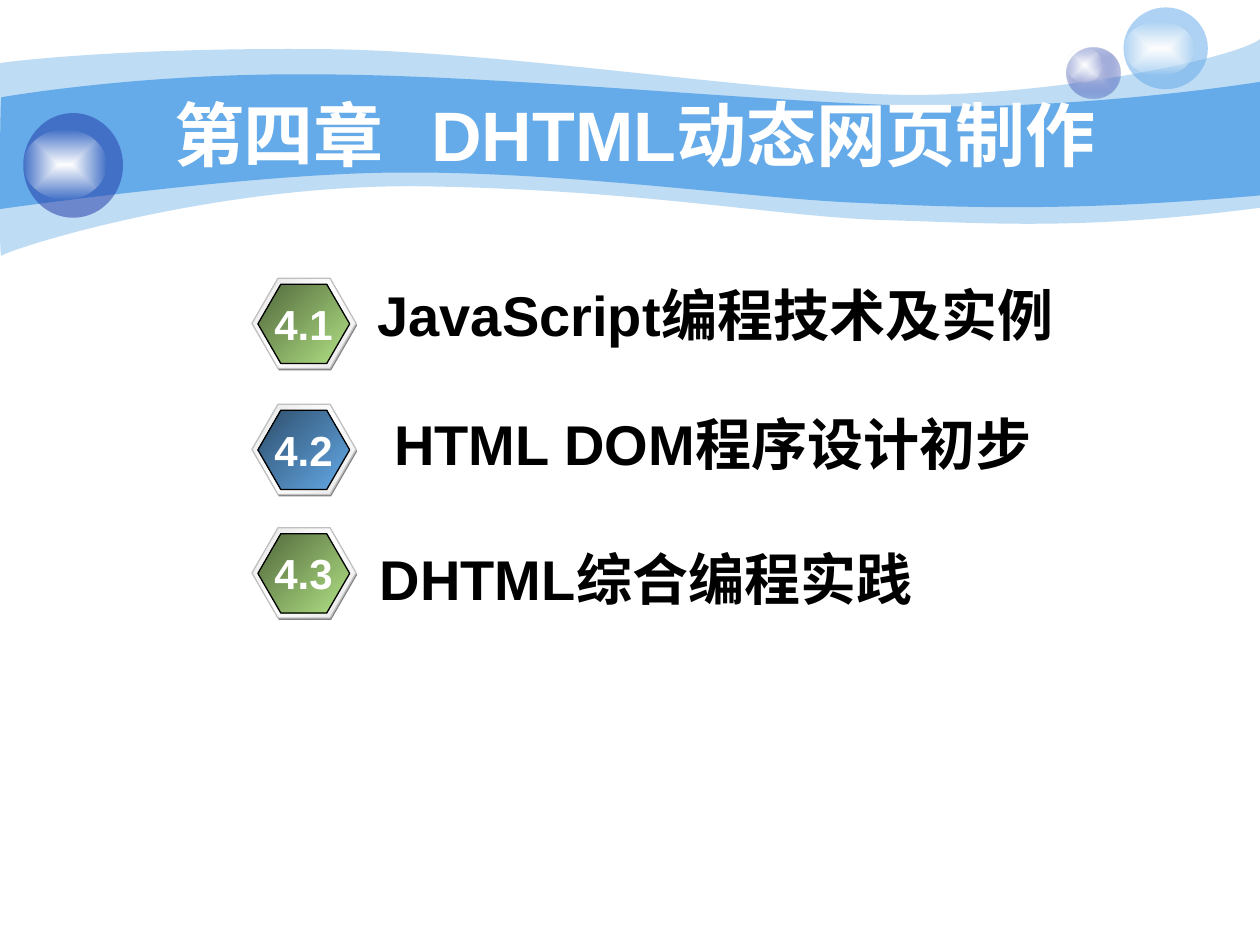
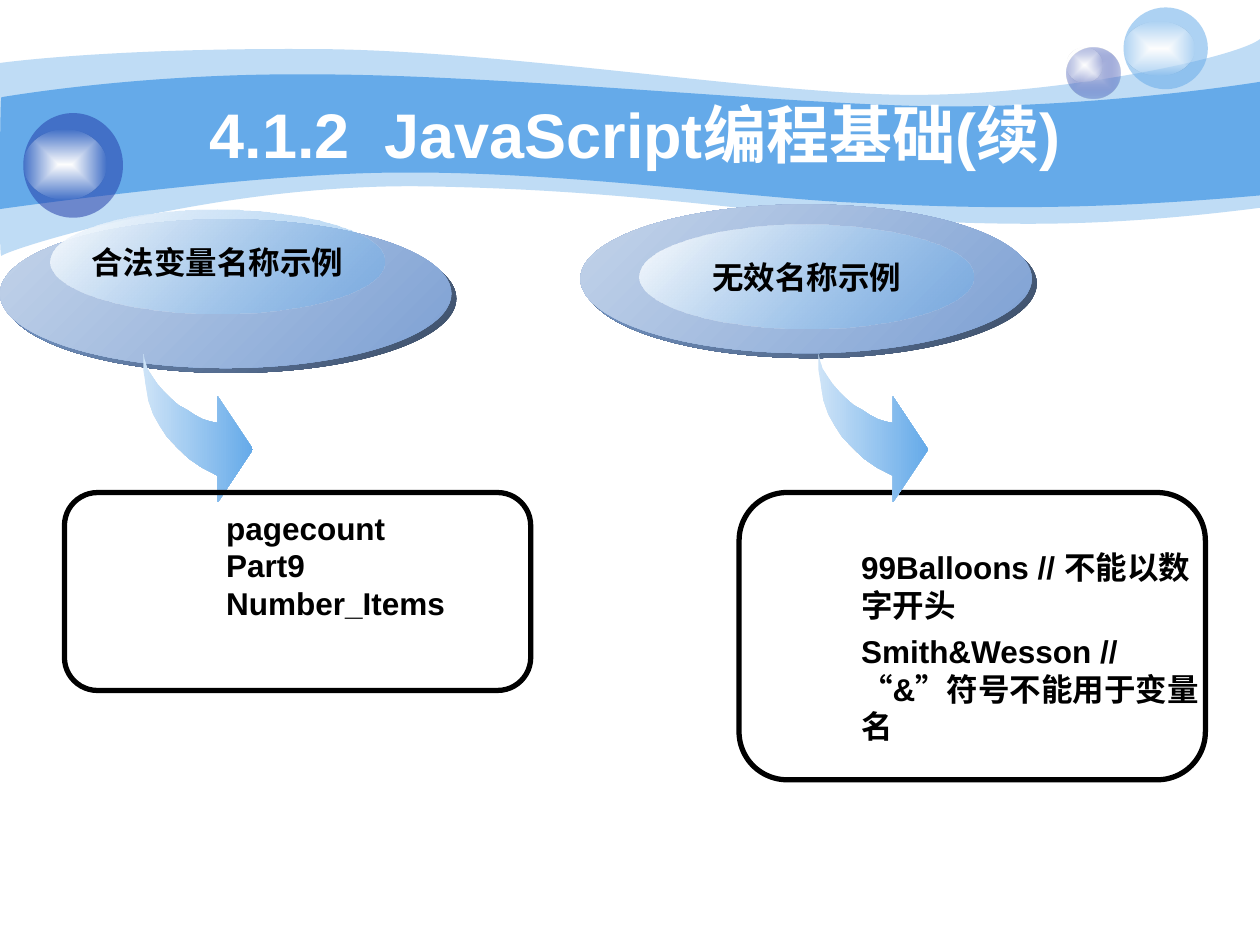
from pptx import Presentation
from pptx.dml.color import RGBColor
from pptx.enum.shapes import MSO_SHAPE
from pptx.enum.text import MSO_ANCHOR, PP_ALIGN
from pptx.oxml import parse_xml
from pptx.oxml.ns import nsdecls, qn
from pptx.util import Cm, Pt

ELLIPSE = MSO_SHAPE.OVAL
HEXAGON = MSO_SHAPE.HEXAGON
ROUNDED = MSO_SHAPE.ROUNDED_RECTANGLE
LEFT, CENTER = PP_ALIGN.LEFT, PP_ALIGN.CENTER
TOP, MIDDLE = MSO_ANCHOR.TOP, MSO_ANCHOR.MIDDLE

FONT = "Arial"
BLACK = RGBColor(0x00, 0x00, 0x00)
WHITE = RGBColor(0xFF, 0xFF, 0xFF)
OFF_WHITE = RGBColor(0xFE, 0xFE, 0xFE)
GREY = RGBColor(0x80, 0x80, 0x80)
SILVER = RGBColor(0xC0, 0xC0, 0xC0)
PALE_GREY = RGBColor(0xE6, 0xE6, 0xE6)
SKY = RGBColor(0x65, 0xAA, 0xE9)
PALE_SKY = RGBColor(0xCD, 0xE3, 0xF7)
DARK_SKY = RGBColor(0x2E, 0x4E, 0x6B)
NAVY = RGBColor(0x23, 0x3D, 0xA9)
LAVENDER = RGBColor(0xC6, 0xCC, 0xE8)
GREEN = RGBColor(0xB2, 0xE3, 0x85)
DARK_GREEN = RGBColor(0x52, 0x68, 0x3D)
STEEL = RGBColor(0x7D, 0xA0, 0xD3)
DARK_STEEL = RGBColor(0x3C, 0x4D, 0x66)
PALE_STEEL = RGBColor(0xC4, 0xD4, 0xEA)

TO_UPPER_LEFT = 225


def paint(shape, stops, angle=None, line=None, line_width=0.75):
    """Fill with evenly spaced (colour, opacity %) stops: one is solid,
    more are a gradient, running from the centre if no angle is given."""
    shape.shadow.inherit = False
    if line is None:
        shape.line.fill.background()
    else:
        shape.line.color.rgb = line
        shape.line.width = Pt(line_width)
    if not stops:
        shape.fill.background()
        return
    colours = [f'<a:srgbClr val="{colour}"><a:alpha val="{opacity * 1000}"/></a:srgbClr>'
               for colour, opacity in stops]
    if len(stops) == 1:
        fill = f'<a:solidFill {nsdecls("a")}>{colours[0]}</a:solidFill>'
    else:
        step = 100000 // (len(stops) - 1)
        marks = "".join(f'<a:gs pos="{i * step}">{colour}</a:gs>'
                        for i, colour in enumerate(colours))
        if angle is None:
            course = ('<a:path path="rect"><a:fillToRect l="50000" t="50000" '
                      'r="50000" b="50000"/></a:path>')
        else:
            course = f'<a:lin ang="{angle * 60000}" scaled="0"/>'
        fill = (f'<a:gradFill {nsdecls("a")} rotWithShape="1"><a:gsLst>{marks}</a:gsLst>'
                f'{course}</a:gradFill>')
    shape.fill.solid()
    solid = shape._element.spPr.find(qn("a:solidFill"))
    solid.getparent().replace(solid, parse_xml(fill))


def write(frame, lines, size, colour=BLACK, align=LEFT, anchor=TOP, wrap=True, gap=0):
    frame.word_wrap = wrap
    frame.vertical_anchor = anchor
    for i, line in enumerate(lines):
        paragraph = frame.paragraphs[0] if i == 0 else frame.add_paragraph()
        paragraph.text = line
        paragraph.alignment = align
        if i:
            paragraph.space_before = Pt(gap)
        paragraph.font.name = FONT
        paragraph.font.size = Pt(size)
        paragraph.font.bold = True
        paragraph.font.color.rgb = colour


prs = Presentation()
prs.slide_width, prs.slide_height = Cm(25.4), Cm(19.05)

# Wave bands: opacity, then upper and lower edge as chained Bézier curves
bands = [
    (41,
     [(0, 1.27), (0.61, 1.19), (2.72, 0.97), (6.27, 0.99), (9.8, 0.99), (14.6, 1.78),
      (17.75, 1.9), (20.88, 2.03), (24.89, 1.19), (25.4, 0.79)],
     [(25.4, 4.19), (21.79, 4.65), (19.99, 4.5), (17.91, 4.44), (15.8, 4.39),
      (13.08, 3.84), (8.71, 3.76), (4.37, 3.66), (0.1, 5.05), (0.03, 5.16),
      (-0.03, 5.28), (0, 1.9), (0, 1.27)]),
    (100,
     [(0.03, 1.96), (0.05, 1.96), (2.79, 1.47), (6.3, 1.5), (9.8, 1.5), (15.11, 2.03),
      (18.24, 2.13), (21.36, 2.24), (24.79, 1.75), (25.4, 1.65)],
     [(25.4, 3.94), (21.67, 4.27), (19.43, 4.19), (17.32, 4.09), (15.21, 4.01),
      (11.38, 3.45), (8.05, 3.48), (5.16, 3.48), (-0.05, 4.22), (-0.03, 4.22),
      (0, 4.22), (0, 1.96), (0.03, 1.96)]),
]

# Bubbles: body box, body stops, highlight box
bubbles = [
    ((21.51, 0.97, 1.07, 1.02), [(LAVENDER, 100), (NAVY, 31)], (21.51, 0.97, 0.71, 0.69)),
    ((22.65, 0.15, 1.7, 1.65), [(SKY, 53)], (22.65, 0.43, 1.42, 1.09)),
    ((0.47, 2.28, 2.01, 2.11), [(NAVY, 53)], (0.47, 2.61, 1.68, 1.42)),
]

# Shared background and title of both slides
slides = []
for title, title_size in [("第四章   DHTML动态网页制作", 40),
                          ("4.1.2  JavaScript编程基础(续)", 36)]:
    slide = prs.slides.add_slide(prs.slide_layouts[6])
    slides.append(slide)
    for opacity, upper_edge, lower_edge in bands:
        points = [(Cm(x), Cm(y)) for x, y in upper_edge + lower_edge]
        outline = slide.shapes.build_freeform(*points[0])
        outline.add_line_segments(points[1:])
        wave = outline.convert_to_shape()
        # Join every three segments of an edge into one curve
        segments = list(wave._element.iter(qn("a:lnTo")))
        lower_start = len(upper_edge)
        for start in [*range(0, lower_start - 1, 3),
                      *range(lower_start, len(points) - 1, 3)]:
            curve = parse_xml(f'<a:cubicBezTo {nsdecls("a")}/>')
            segments[start].addprevious(curve)
            for segment in segments[start:start + 3]:
                curve.append(segment[0])
                segment.getparent().remove(segment)
        paint(wave, [(SKY, opacity)])
    for body, body_stops, highlight in bubbles:
        for box, stops in [(body, body_stops), (highlight, [(WHITE, 100), (OFF_WHITE, 0)])]:
            paint(slide.shapes.add_shape(ELLIPSE, *map(Cm, box)), stops)
    heading = slide.shapes.add_textbox(Cm(2.54), Cm(1.91), Cm(20.52), Cm(1.57))
    write(heading.text_frame, [title], title_size, WHITE, CENTER, MIDDLE)

contents, naming = slides

# Chapter contents: badge top, badge colours, section title and its box
sections = [
    ("4.1", 5.61, GREEN, DARK_GREEN, "JavaScript编程技术及实例", (7.36, 5.54, 14.7, 1.63)),
    ("4.2", 8.15, SKY, DARK_SKY, "HTML DOM程序设计初步", (7.7, 8.13, 13.89, 1.63)),
    ("4.3", 10.64, GREEN, DARK_GREEN, "DHTML综合编程实践", (7.41, 10.85, 11.48, 2.97)),
]
for number, top, light, dark, section, section_box in sections:
    layers = [
        (5.1, top + 0.04, 2.1, 1.82, [(GREY, 100)], None),
        (5.08, top, 2.1, 1.82, [(PALE_GREY, 100), (WHITE, 100), (PALE_GREY, 100)], SILVER),
        (5.2, top + 0.12, 1.85, 1.6, [(light, 100), (dark, 100)], BLACK),
    ]
    for *box, stops, line in layers:
        badge = contents.shapes.add_shape(HEXAGON, *map(Cm, box))
        badge.adjustments[0] = 0.289
        paint(badge, stops, TO_UPPER_LEFT, line)
    number_box = contents.shapes.add_textbox(Cm(5.28), Cm(top + 0.28), Cm(1.68), Cm(1.27))
    write(number_box.text_frame, [number], 24, WHITE, CENTER, wrap=False)
    section_text = contents.shapes.add_textbox(*map(Cm, section_box))
    write(section_text.text_frame, [section], 32)

# Curved arrow, relative to its upper left corner
arrow_outline = [
    (0, 0), (0, 0.33), (0.05, 0.64), (0.1, 0.94), (0.2, 1.22), (0.33, 1.45), (0.48, 1.68),
    (0.69, 1.9), (0.91, 2.11), (1.17, 2.29), (1.5, 2.46), (1.5, 3), (2.21, 1.93),
    (1.5, 0.86), (1.5, 1.4), (1.35, 1.37), (1.19, 1.32), (1.04, 1.24), (0.89, 1.14),
    (0.71, 1.04), (0.56, 0.91), (0.41, 0.76), (0.28, 0.61), (0.18, 0.46), (0.08, 0.3),
    (0.03, 0.13),
]
ARROW_TOP = 7.13

# Variable names: label, disc, label oval, arrow left, frame, examples and their box
topics = [
    ("合法变量名称示例", (0, 4.42), (1.02, 4.22), 2.89, (1.3, 9.93, 9.4, 3.99),
     ["pagecount", "Part9", "Number_Items"], (0.5, 10.13, 8.99, 2.54), 0, False),
    ("无效名称示例", (11.7, 4.12), (12.9, 4.52), 16.5, (14.9, 9.93, 9.4, 5.79),
     ["99Balloons // 不能以数字开头", "Smith&Wesson // “&”符号不能用于变量名"],
     (13.3, 10.93, 11.2, 4.24), 4.5, True),
]
for (label, (disc_left, disc_top), oval, arrow_left, frame_box,
     examples, examples_box, gap, arrow_in_front) in topics:
    # Disc with its thick edge, and the label on it
    for shift, dark, light in [(0.1, DARK_STEEL, STEEL), (0, STEEL, PALE_STEEL)]:
        disc = naming.shapes.add_shape(ELLIPSE, Cm(disc_left + shift), Cm(disc_top + shift),
                                       Cm(9.1), Cm(3))
        paint(disc, [(dark, 100), (light, 100)], TO_UPPER_LEFT)
    label_oval = naming.shapes.add_shape(ELLIPSE, *map(Cm, oval), Cm(6.73), Cm(2.11))
    paint(label_oval, [(SKY, 38), (OFF_WHITE, 100)], TO_UPPER_LEFT)
    write(label_oval.text_frame, [label], 18, BLACK, CENTER, MIDDLE, wrap=False)

    # Arrow down to the examples
    points = [(Cm(arrow_left + x), Cm(ARROW_TOP + y)) for x, y in arrow_outline]
    arrow_path = naming.shapes.build_freeform(*points[0])
    arrow_path.add_line_segments(points[1:])
    arrow = arrow_path.convert_to_shape()
    paint(arrow, [(PALE_SKY, 100), (SKY, 100)], 0)

    # Frame and examples
    frame = naming.shapes.add_shape(ROUNDED, *map(Cm, frame_box))
    frame.adjustments[0] = 0.167
    paint(frame, [], line=BLACK, line_width=3)
    if arrow_in_front:
        frame._element.addnext(arrow._element)
    example_text = naming.shapes.add_textbox(*map(Cm, examples_box))
    example_text.text_frame.margin_left = Cm(4.06)
    write(example_text.text_frame, examples, 18, gap=gap)

prs.save("out.pptx")
